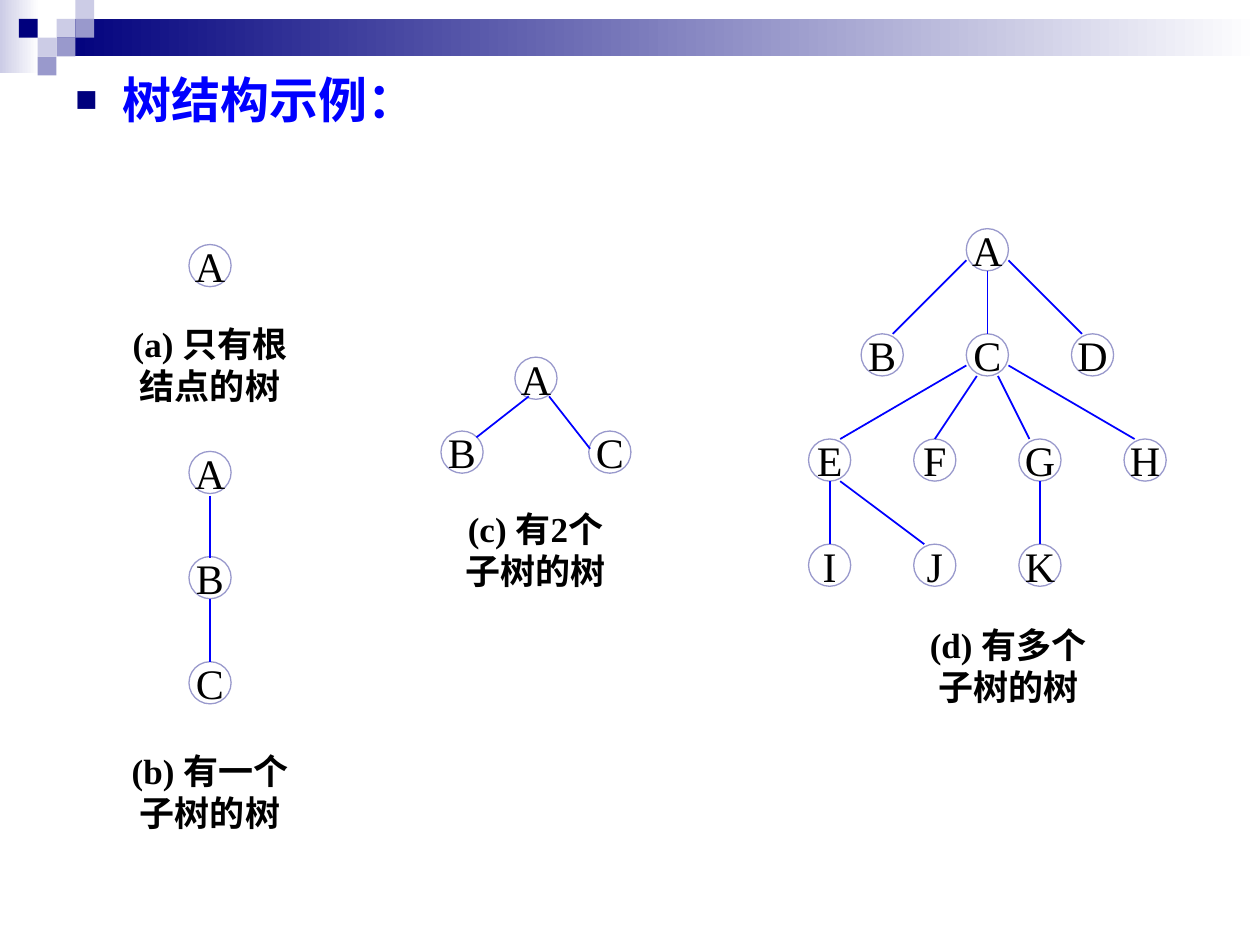
from lxml import etree
from pptx import Presentation
from pptx import util as u
from pptx.dml.color import RGBColor
from pptx.enum import shapes, text
from pptx.oxml import ns

NODE = 0.85
GRID = 2.12
SQUARE = 0.38

DOWN = (0.5, 1, 0.5, 0)
FAR_LEFT = (0, 0.75, 0.75, 0)
NEAR_LEFT = (0.25, 1, 0.5, 0)
NEAR_RIGHT = (0.75, 1, 0.25, 0)
FAR_RIGHT = (1, 0.75, 0.25, 0)


def colour(hex_string):
    return RGBColor.from_string(hex_string)


class TreeSlide:
    navy, violet, lilac = "00007D", "9999CC", "CCCCE6"
    blue, black, white = "0000FF", "000000", "FFFFFF"
    serif, sans = "Times New Roman", "Arial"

    def __init__(self, slide):
        self.slide = slide
        self.target = slide.shapes

    def start_group(self):
        self.target = self.slide.shapes.add_group_shape().shapes

    def end_group(self):
        self.target = self.slide.shapes

    def block(self, x, y, width, height, fill, fade_to=None):
        block = self.target.add_shape(
            shapes.MSO_SHAPE.RECTANGLE, u.Cm(x), u.Cm(y), u.Cm(width), u.Cm(height))
        block.shadow.inherit = False
        block.line.fill.background()
        if fade_to:
            block.fill.gradient()
            block.fill.gradient_angle = 0
            for stop, position, shade in zip(block.fill.gradient_stops, (0, 1), (fill, fade_to)):
                stop.position = position
                stop.color.rgb = colour(shade)
        else:
            block.fill.solid()
            block.fill.fore_color.rgb = colour(fill)

    def style(self, paragraph, font_name, size, shade, bold=False):
        paragraph.font.name = font_name
        paragraph.font.size = u.Pt(size)
        paragraph.font.bold = bold
        paragraph.font.color.rgb = colour(shade)

    def text_box(self, x, y, width, height, words):
        frame = self.target.add_textbox(u.Cm(x), u.Cm(y), u.Cm(width), u.Cm(height)).text_frame
        frame.word_wrap = True
        frame.text = words
        return frame.paragraphs[0]

    def heading(self, words):
        heading = self.text_box(1.27, 1.27, 22.86, 17.78, words)
        properties = heading._p.get_or_add_pPr()
        properties.set("marL", str(u.Cm(0.95)))
        properties.set("indent", str(-u.Cm(0.95)))
        bullet_colour = etree.SubElement(properties, ns.qn("a:buClr"))
        etree.SubElement(bullet_colour, ns.qn("a:srgbClr"), val=self.navy)
        etree.SubElement(properties, ns.qn("a:buSzPct"), val="75000")
        etree.SubElement(properties, ns.qn("a:buFont"), typeface=self.sans)
        etree.SubElement(properties, ns.qn("a:buChar"), char="■")
        self.style(heading, self.sans, 28, self.blue, True)

    def caption(self, x, y, height, words):
        caption = self.text_box(x, y, 3.81, height, words)
        caption.alignment = text.PP_ALIGN.CENTER
        self.style(caption, self.serif, 20, self.black, True)

    def node(self, x, y, label):
        node = self.target.add_shape(
            shapes.MSO_SHAPE.OVAL, u.Cm(x), u.Cm(y), u.Cm(NODE), u.Cm(NODE))
        node.shadow.inherit = False
        node.fill.solid()
        node.fill.fore_color.rgb = colour(self.white)
        node.line.color.rgb = colour(self.violet)
        node.line.width = u.Pt(0.75)
        frame = node.text_frame
        frame.word_wrap = False
        frame.vertical_anchor = text.MSO_ANCHOR.MIDDLE
        frame.text = label
        frame.paragraphs[0].alignment = text.PP_ALIGN.CENTER
        self.style(frame.paragraphs[0], self.serif, 24, self.black)

    def edge(self, parent, child, ports):
        out_x, out_y, in_x, in_y = ports
        edge = self.target.add_connector(
            shapes.MSO_CONNECTOR.STRAIGHT,
            u.Cm(parent[0] + out_x * NODE), u.Cm(parent[1] + out_y * NODE),
            u.Cm(child[0] + in_x * NODE), u.Cm(child[1] + in_y * NODE))
        edge.line.color.rgb = colour(self.blue)
        edge.line.width = u.Pt(1)
        etree.SubElement(edge._element.spPr, ns.qn("a:effectLst"))

    def tree(self, left, top, step, cells, edges):
        places = {label: (left + column * step, top + row * step)
                  for label, (column, row) in cells.items()}
        self.start_group()
        for label, (x, y) in places.items():
            self.node(x, y, label)
        for (parent, child), ports in edges.items():
            self.edge(places[parent], places[child], ports)
        self.end_group()

    def banner(self):
        self.start_group()
        self.block(0, 0, 0.79, 1.47, self.lilac, self.white)
        self.block(3 * SQUARE, SQUARE, 24.26, 2 * SQUARE, self.navy, self.white)
        for column, row, fill in (
                (3, 1, self.lilac), (4, 0, self.lilac), (4, 1, self.violet), (2, 2, self.lilac),
                (1, 1, self.navy), (3, 2, self.violet), (2, 3, self.violet)):
            self.block(column * SQUARE, row * SQUARE, SQUARE, SQUARE, fill)
        self.end_group()


def main():
    deck = Presentation()
    deck.slide_width, deck.slide_height = u.Cm(25.4), u.Cm(19.05)
    page = TreeSlide(deck.slides.add_slide(deck.slide_layouts[6]))

    page.banner()
    page.heading("树结构示例：")

    page.node(3.81, 4.93, "A")
    page.tree(3.81, 9.1, GRID, {"A": (0, 0), "B": (0, 1), "C": (0, 2)},
              {"AB": (0.5, 1.05, 0.5, 0.03), "BC": DOWN})
    page.tree(8.89, 7.2, 1.49, {"A": (1, 0), "C": (2, 1), "B": (0, 1)},
              {"AB": (0.33, 0.93, 0.84, 0.15), "AC": (0.81, 0.93, 0.03, 0.42)})
    page.tree(16.3, 4.61, GRID,
              {"A": (1.5, 0), "B": (0.5, 1), "D": (2.5, 1), "C": (1.5, 1),
               "E": (0, 2), "H": (3, 2), "G": (2, 2), "F": (1, 2),
               "I": (0, 3), "J": (1, 3), "K": (2, 3)},
              {"AC": DOWN, "AB": FAR_LEFT, "AD": FAR_RIGHT,
               "CE": FAR_LEFT, "CF": NEAR_LEFT, "CG": NEAR_RIGHT, "CH": FAR_RIGHT,
               "EI": DOWN, "EJ": NEAR_RIGHT, "GK": DOWN})

    page.caption(2.33, 6.37, 1.96, "(a) 只有根结点的树")
    page.caption(2.33, 14.99, 2.79, "(b) 有一个子树的树")
    page.caption(8.89, 10.11, 1.96, "(c) 有2个子树的树")
    page.caption(18.42, 12.45, 2.79, "(d) 有多个子树的树")

    deck.save("out.pptx")


if __name__ == "__main__":
    main()
